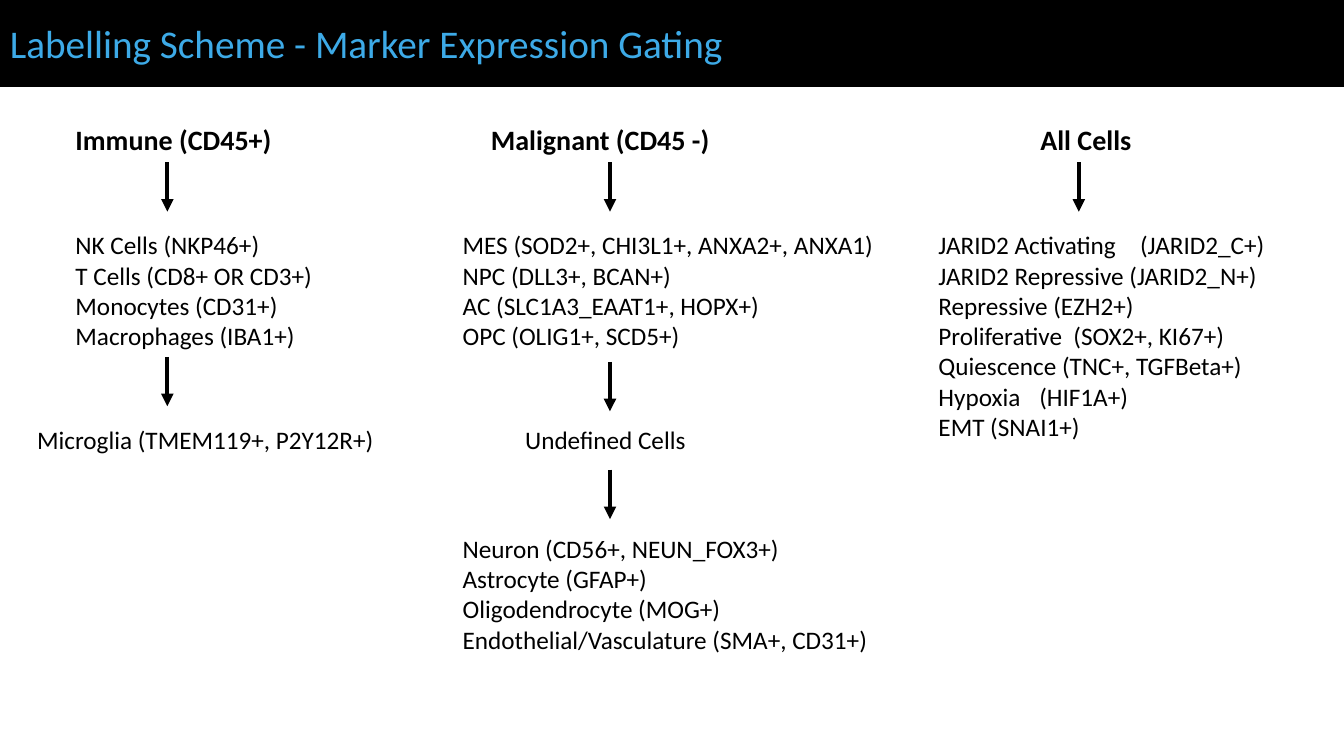
from lxml import etree
from pptx import Presentation
from pptx import util as u
from pptx.dml.color import RGBColor
from pptx.enum import shapes, text
from pptx.oxml.ns import qn

TITLE = "Labelling Scheme - Marker Expression Gating"

BRANCHES = [
    {
        "arrow_x": 1.66,
        "arrow_tops": [1.61, 3.54],
        "heading": ("Immune (CD45+)", 0.65, 2.29),
        "groups": [
            (0.65, 2.23, 2.85, ["NK Cells (NKP46+)", "T Cells (CD8+ OR CD3+)",
                                "Monocytes (CD31+)", "Macrophages (IBA1+)"]),
            (0.27, 4.16, 3.56, ["Microglia (TMEM119+, P2Y12R+)"]),
        ],
    },
    {
        "arrow_x": 6.05,
        "arrow_tops": [1.61, 3.59, 4.66],
        "heading": ("Malignant (CD45 -)", 4.77, 2.76),
        "groups": [
            (4.49, 2.23, 4.35, ["MES (SOD2+, CHI3L1+, ANXA2+, ANXA1)", "NPC (DLL3+, BCAN+)",
                                "AC (SLC1A3_EAAT1+, HOPX+)", "OPC (OLIG1+, SCD5+)"]),
            (5.11, 4.16, 1.88, ["Undefined Cells"]),
            (4.49, 5.24, 4.35, ["Neuron (CD56+, NEUN_FOX3+)", "Astrocyte (GFAP+)",
                                "Oligodendrocyte (MOG+)",
                                "Endothelial/Vasculature (SMA+, CD31+)"]),
        ],
    },
    {
        "arrow_x": 10.7,
        "arrow_tops": [1.61],
        "heading": ("All Cells", 10.22, 1.22),
        "groups": [
            (9.21, 2.23, 3.56, ["JARID2 Activating\t(JARID2_C+)", "JARID2 Repressive (JARID2_N+)",
                                "Repressive (EZH2+)", "Proliferative  (SOX2+, KI67+)",
                                "Quiescence (TNC+, TGFBeta+)", "Hypoxia\t(HIF1A+)",
                                "EMT (SNAI1+)"]),
        ],
    },
]

INK = RGBColor(0, 0, 0)
THEME = {
    "ink": INK,
    "title": {"size": 28, "bold": False, "color": RGBColor(0x3D, 0xAA, 0xE7)},
    "heading": {"size": 20, "bold": True, "color": INK},
    "markers": {"size": 18, "bold": False, "color": INK},
    "font": "Calibri",
    "arrow_width": 3,
}
SLIDE_WIDTH, SLIDE_HEIGHT, BAR_HEIGHT = 13.33, 7.5, 0.86
HEADING_TOP, ARROW_LENGTH = 1.17, 0.49
LINE_HEIGHT, BOX_PADDING = 0.3, 0.1


def write(frame, lines, style):
    frame.word_wrap = True
    for index, line in enumerate(lines):
        paragraph = frame.add_paragraph() if index else frame.paragraphs[0]
        paragraph.alignment = text.PP_ALIGN.LEFT
        entry = paragraph.add_run()
        entry.text = line
        font_format = {"name": THEME["font"], "size": u.Pt(style["size"]), "bold": style["bold"]}
        for attribute, value in font_format.items():
            setattr(entry.font, attribute, value)
        entry.font.color.rgb = style["color"]


def add_text(slide, left, top, width, lines, style):
    height = BOX_PADDING + LINE_HEIGHT * len(lines) * style["size"] / THEME["markers"]["size"]
    box = slide.shapes.add_textbox(*map(u.Inches, (left, top, width, height)))
    write(box.text_frame, lines, style)


def add_arrow(slide, x, top):
    ends = map(u.Inches, (x, top, x, top + ARROW_LENGTH))
    arrow = slide.shapes.add_connector(shapes.MSO_CONNECTOR.STRAIGHT, *ends)
    arrow.line.color.rgb = THEME["ink"]
    arrow.line.width = u.Pt(THEME["arrow_width"])
    etree.SubElement(arrow.line._get_or_add_ln(), qn("a:tailEnd"), type="triangle")
    etree.SubElement(arrow._element.spPr, qn("a:effectLst"))


def add_title_bar(slide):
    bar = slide.shapes.add_shape(shapes.MSO_SHAPE.RECTANGLE, 0, 0,
                                 u.Inches(SLIDE_WIDTH), u.Inches(BAR_HEIGHT))
    bar.shadow.inherit = False
    bar.fill.solid()
    bar.fill.fore_color.rgb = THEME["ink"]
    bar.line.color.rgb = THEME["ink"]
    bar.line.width = u.Pt(1)
    bar.text_frame.vertical_anchor = text.MSO_ANCHOR.MIDDLE
    write(bar.text_frame, [TITLE], THEME["title"])


def main():
    deck = Presentation()
    deck.slide_width = u.Inches(SLIDE_WIDTH)
    deck.slide_height = u.Inches(SLIDE_HEIGHT)
    slide = deck.slides.add_slide(deck.slide_layouts[6])
    add_title_bar(slide)
    for branch in BRANCHES:
        heading, left, width = branch["heading"]
        add_text(slide, left, HEADING_TOP, width, [heading], THEME["heading"])
        for left, top, width, markers in branch["groups"]:
            add_text(slide, left, top, width, markers, THEME["markers"])
        for top in branch["arrow_tops"]:
            add_arrow(slide, branch["arrow_x"], top)
    deck.save("out.pptx")


if __name__ == "__main__":
    main()
